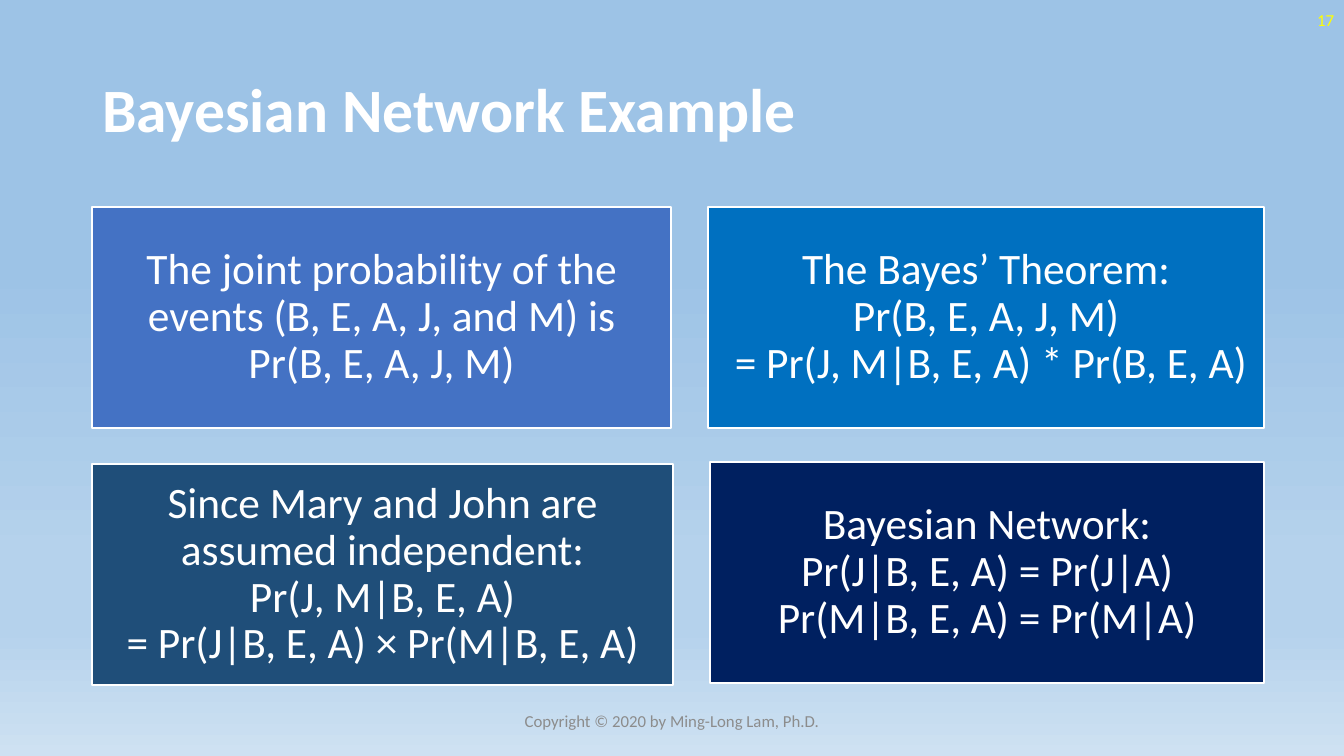
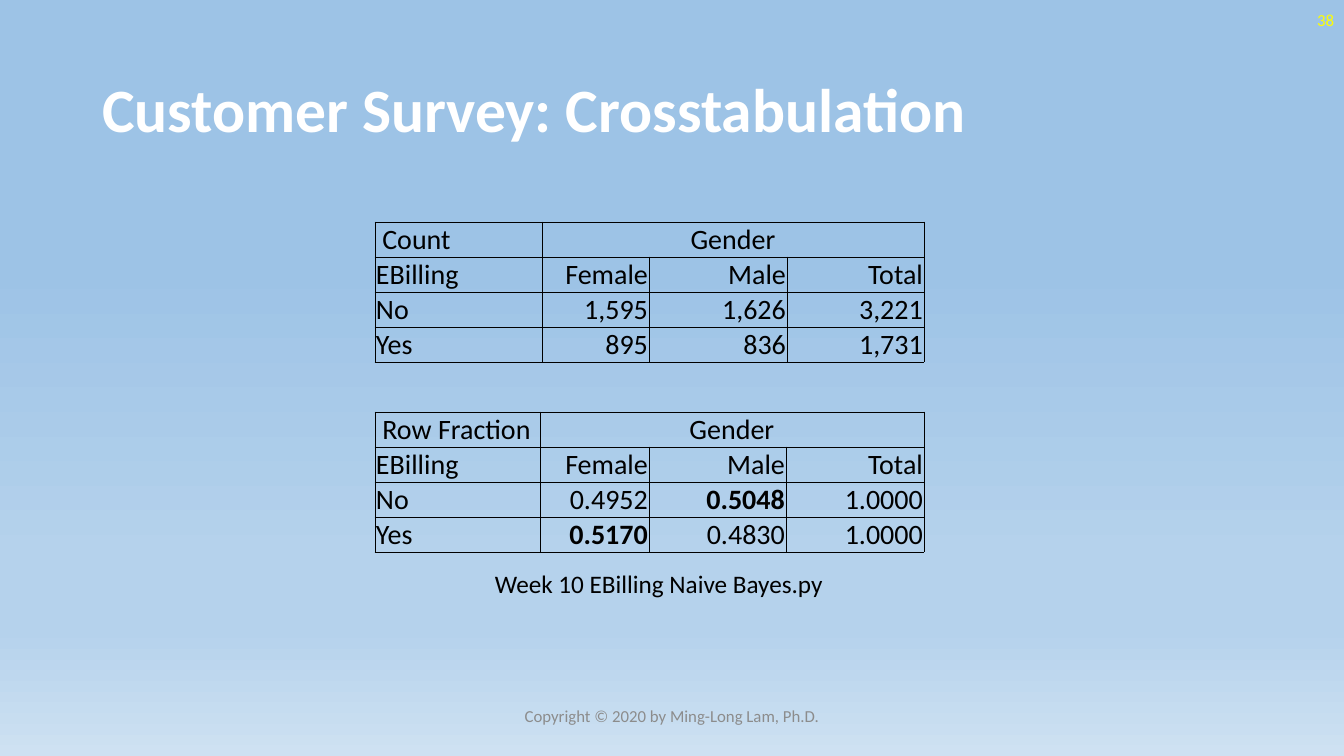
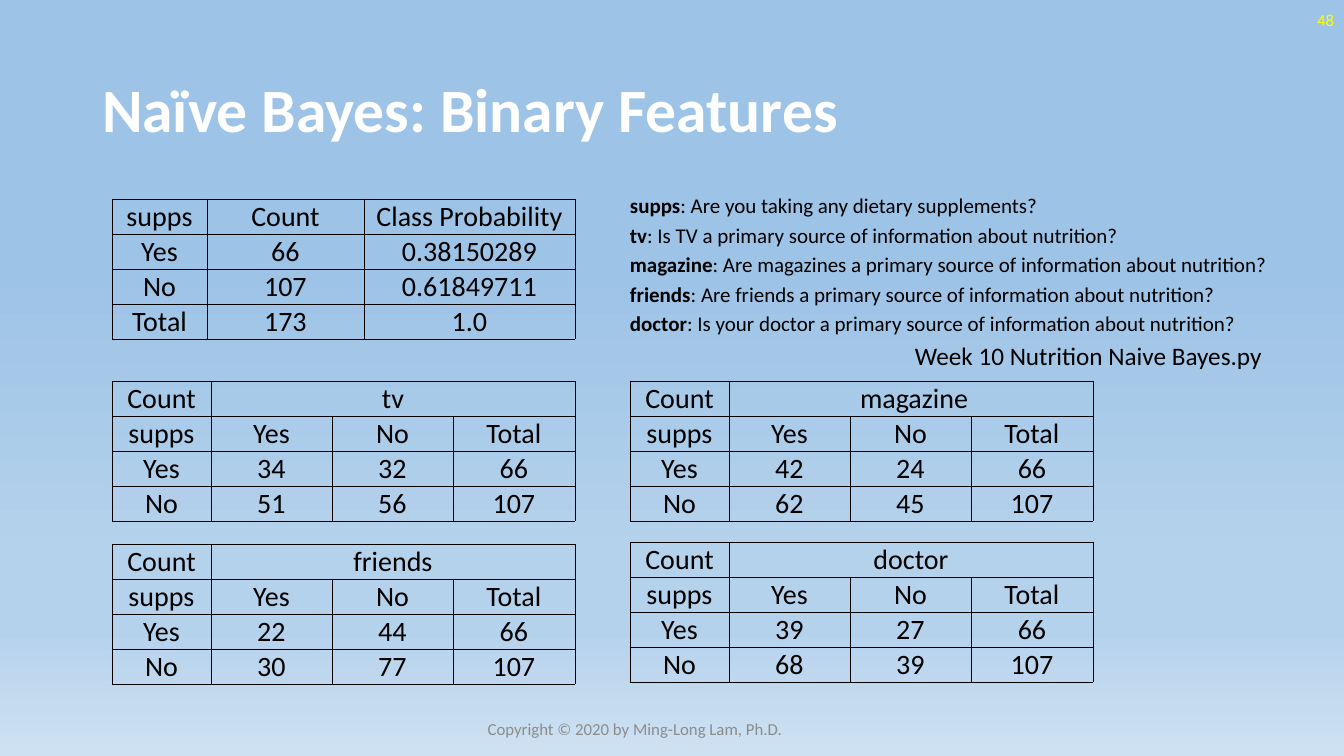
from dataclasses import dataclass

from lxml import etree
from pptx import Presentation
from pptx import util as u
from pptx.dml import color
from pptx.enum import shapes, text
from pptx.oxml import ns

PX = u.Inches(1) / 100.8
LEFT, CENTER, RIGHT = text.PP_ALIGN.LEFT, text.PP_ALIGN.CENTER, text.PP_ALIGN.RIGHT
TOP, MIDDLE, BOTTOM = text.MSO_ANCHOR.TOP, text.MSO_ANCHOR.MIDDLE, text.MSO_ANCHOR.BOTTOM


@dataclass(frozen=True)
class Theme:
    font: str = "Calibri"
    white: str = "FFFFFF"
    ink: str = "000000"
    number: str = "FFFF00"
    footer: str = "8C8C8C"
    sky: tuple = ((35, "9DC3E6"), (74, "B5D2EC"), (83, "B5D2EC"), (100, "CEE1F2"))
    joint: str = "4472C4"
    theorem: str = "0070C0"
    independent: str = "1F4E79"
    network: str = "002060"
    title_size: int = 44
    card_size: int = 31
    table_size: int = 20
    caption_size: int = 18
    list_size: int = 15
    small_size: int = 12


THEME = Theme()
COPYRIGHT = "Copyright © 2020 by Ming-Long Lam, Ph.D."


def px(*lengths):
    return [u.Emu(round(length * PX)) for length in lengths]


def rgb(value):
    return color.RGBColor.from_string(value)


def write(frame, content, size, ink=THEME.ink, bold=False, align=LEFT, anchor=TOP,
          spacing=None, after=None):
    """Fill a frame: a list gives paragraphs, \\n breaks a line, ** switches bold."""
    frame.word_wrap = True
    frame.vertical_anchor = anchor
    paragraphs = [content] if isinstance(content, str) else content
    for index, words in enumerate(paragraphs):
        para = frame.add_paragraph() if index else frame.paragraphs[0]
        para.alignment = align
        if spacing is not None:
            para.line_spacing = spacing
        if after is not None:
            para.space_after = u.Pt(after)
        for number, line in enumerate(words.split("\n")):
            if number:
                para.add_line_break()
            for part, piece in enumerate(line.split("**")):
                if not piece:
                    continue
                span = para.add_run()
                span.text = piece
                span.font.name = THEME.font
                span.font.size = u.Pt(size)
                span.font.bold = bold or part % 2 == 1
                span.font.color.rgb = rgb(ink)


def border(cell):
    """Draw a thin line on all four sides of a table cell."""
    properties = cell._tc.get_or_add_tcPr()
    for index, side in enumerate(("lnL", "lnR", "lnT", "lnB")):
        line = etree.Element(ns.qn("a:" + side), w=str(u.Pt(0.5)))
        fill = etree.SubElement(line, ns.qn("a:solidFill"))
        etree.SubElement(fill, ns.qn("a:srgbClr"), val=THEME.ink)
        properties.insert(index, line)


class Deck:
    def __init__(self):
        self.file = Presentation()
        self.file.slide_width, self.file.slide_height = px(1344, 756)
        self.page = None
        self.paint_background()

    def paint_background(self):
        master = self.file.slide_master
        fill = master.background.fill
        fill.gradient()
        fill.gradient_angle = 270
        stops = master.element.find(".//" + ns.qn("a:gsLst"))
        for stop in list(stops):
            stops.remove(stop)
        for place, value in THEME.sky:
            stop = etree.SubElement(stops, ns.qn("a:gs"), pos=str(place * 1000))
            etree.SubElement(stop, ns.qn("a:srgbClr"), val=value)

    def start(self, title, number, footer_left=445, footer_top=701):
        """Add a slide with its title, number and copyright line."""
        self.page = self.file.slides.add_slide(self.file.slide_layouts[5])
        box = self.page.shapes.title
        box.left, box.top, box.width, box.height = px(92, 40, 1159, 146)
        box.text_frame.auto_size = text.MSO_AUTO_SIZE.NONE
        write(box.text_frame, title, THEME.title_size, ink=THEME.white, bold=True,
              anchor=MIDDLE, spacing=0.9)
        self.label(str(number), 1042, 0, 302, size=THEME.small_size, ink=THEME.number,
                   align=RIGHT, anchor=MIDDLE)
        self.label(COPYRIGHT, footer_left, footer_top, 454, size=THEME.small_size,
                   ink=THEME.footer, align=CENTER, anchor=MIDDLE)

    def label(self, content, left, top, width, height=40, **style):
        box = self.page.shapes.add_textbox(*px(left, top, width, height))
        write(box.text_frame, content, **style)

    def card(self, content, fill, left, top, width, height=221):
        box = self.page.shapes.add_shape(shapes.MSO_SHAPE.RECTANGLE,
                                         *px(left, top, width, height))
        box.shadow.inherit = False
        box.fill.solid()
        box.fill.fore_color.rgb = rgb(fill)
        box.line.color.rgb = rgb(THEME.white)
        box.line.width = u.Pt(1.5)
        frame = box.text_frame
        frame.margin_left, frame.margin_top, frame.margin_right, frame.margin_bottom = px(
            13, 13, 13, 13)
        write(frame, content, THEME.card_size, ink=THEME.white, align=CENTER,
              anchor=MIDDLE, spacing=0.9)

    def table(self, rows, left, top, columns, aligns, anchor=MIDDLE, row_height=35):
        """Draw a table; the last cell of a short row spans the columns left over."""
        holder = self.page.shapes.add_table(
            len(rows), len(columns),
            *px(left, top, sum(columns), row_height * len(rows)))
        table = holder.table
        table.first_row = table.horz_banding = False
        for column, width in zip(table.columns, px(*columns)):
            column.width = width
        for cell in table.iter_cells():
            cell.fill.background()
            cell.margin_left, cell.margin_top, cell.margin_right, cell.margin_bottom = px(
                1, 1, 1, 0)
            border(cell)
        for y, row in enumerate(rows):
            spans = len(row) < len(columns)
            if spans:
                table.cell(y, len(row) - 1).merge(table.cell(y, len(columns) - 1))
            for x, words in enumerate(row):
                cell = table.cell(y, x)
                align = CENTER if spans and x == len(row) - 1 else aligns[x]
                write(cell.text_frame, words, THEME.table_size, align=align)
                cell.text_frame.word_wrap = None
                cell.text_frame.vertical_anchor = None
                cell.vertical_anchor = anchor


def joint_probability(deck):
    deck.start("Bayesian Network Example", 17)
    deck.card("The joint probability of the events (B, E, A, J, and M) is "
              "Pr(B, E, A, J, M)", THEME.joint, 92, 207, 579)
    deck.card("The Bayes’ Theorem:\nPr(B, E, A, J, M)\n = Pr(J, M|B, E, A) * Pr(B, E, A)",
              THEME.theorem, 708, 207, 556)
    deck.card("Since Mary and John are assumed independent:\nPr(J, M|B, E, A)\n"
              "= Pr(J|B, E, A) × Pr(M|B, E, A)", THEME.independent, 92, 464, 581)
    deck.card("Bayesian Network:\nPr(J|B, E, A) = Pr(J|A)\nPr(M|B, E, A) = Pr(M|A)",
              THEME.network, 710, 462, 554)


def customer_survey(deck):
    deck.start("Customer Survey: Crosstabulation", 38, footer_top=696)
    crosstabs = (
        (" Count", 222, (167, 107, 138, 137),
         ("No", "1,595", "1,626", "3,221"), ("Yes", "895", "836", "1,731")),
        (" Row Fraction", 412, (165, 109, 137, 138),
         ("No", "0.4952", "**0.5048**", "1.0000"),
         ("Yes", "**0.5170**", "0.4830", "1.0000")),
    )
    for measure, top, columns, *body in crosstabs:
        head = [(measure, "Gender"), ("EBilling", "Female", "Male", "Total")]
        deck.table(head + body, 375, top, columns, (LEFT, RIGHT, RIGHT, RIGHT),
                   anchor=BOTTOM)
    deck.label("Week 10 EBilling Naive Bayes.py", 485, 563, 352, size=THEME.caption_size)


def binary_features(deck):
    deck.start("Naïve Bayes: Binary Features", 48, footer_left=408, footer_top=709)
    centered = (CENTER,) * 4
    deck.table([("supps", "Count", "Class Probability"), ("Yes", "66", "0.38150289"),
                ("No", "107", "0.61849711"), ("Total", "173", "1.0")],
               112, 199, (95, 157, 211), centered)
    features = (
        ("tv", 112, 381, ("34", "32"), ("51", "56")),
        (" magazine", 630, 381, ("42", "24"), ("62", "45")),
        ("friends", 112, 544, ("22", "44"), ("30", "77")),
        ("doctor", 630, 542, ("39", "27"), ("68", "39")),
    )
    for feature, left, top, takers, others in features:
        rows = [("Count", feature), ("supps", "Yes", "No", "Total"),
                ("Yes", *takers, "66"), ("No", *others, "107")]
        deck.table(rows, left, top, (99, 121, 121, 122), centered)
    questions = [
        "**supps**: Are you taking any dietary supplements?",
        "**tv**: Is TV a primary source of information about nutrition?",
        "**magazine**: Are magazines a primary source of information about nutrition?",
        "**friends**: Are friends a primary source of information about nutrition?",
        "**doctor**: Is your doctor a primary source of information about nutrition?",
    ]
    deck.label(questions, 620, 188, 662, 154, size=THEME.list_size, after=3)
    deck.label("Week 10 Nutrition Naive Bayes.py", 905, 335, 371, size=THEME.caption_size)


def main():
    deck = Deck()
    for build in (joint_probability, customer_survey, binary_features):
        build(deck)
    deck.file.save("out.pptx")


if __name__ == "__main__":
    main()
